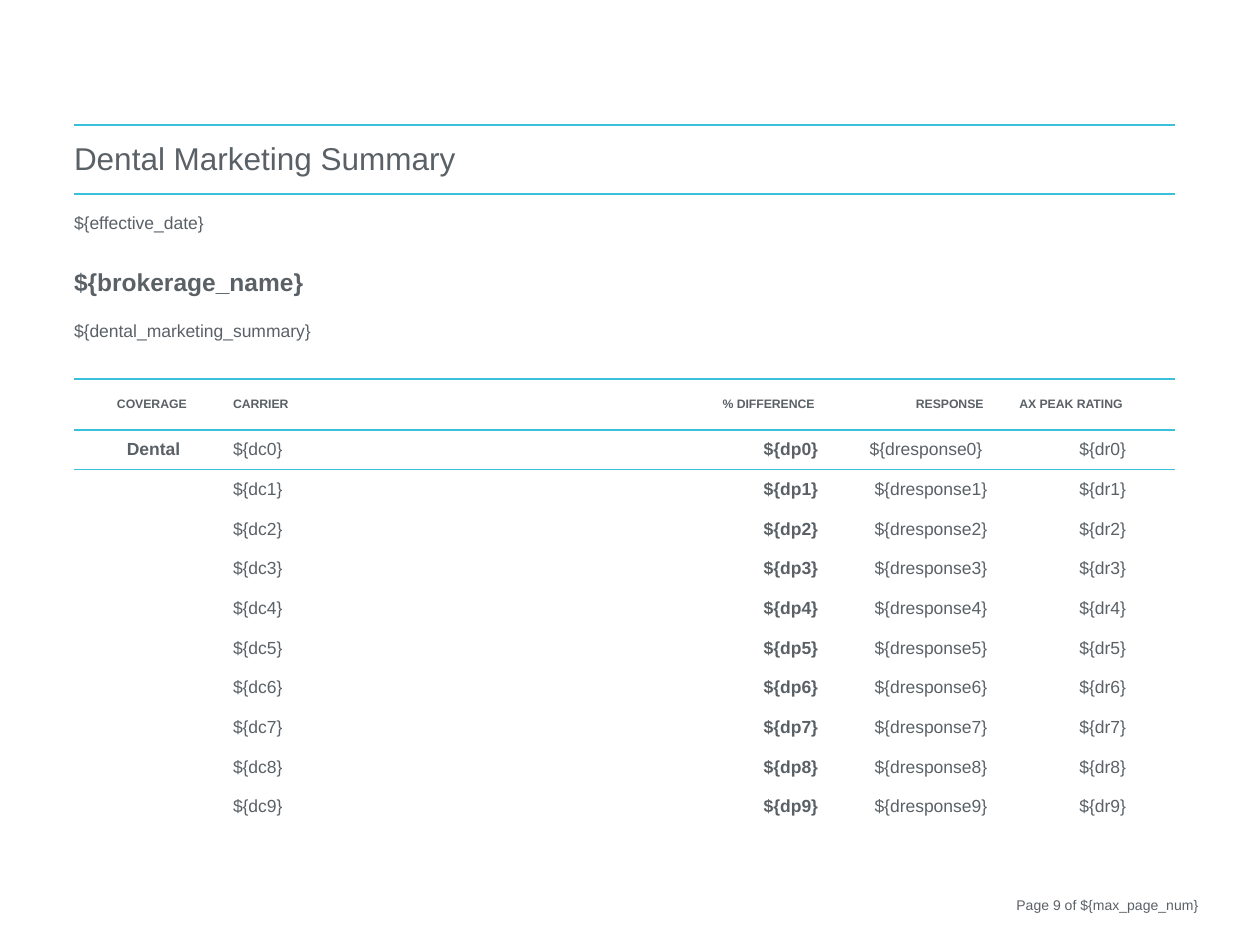
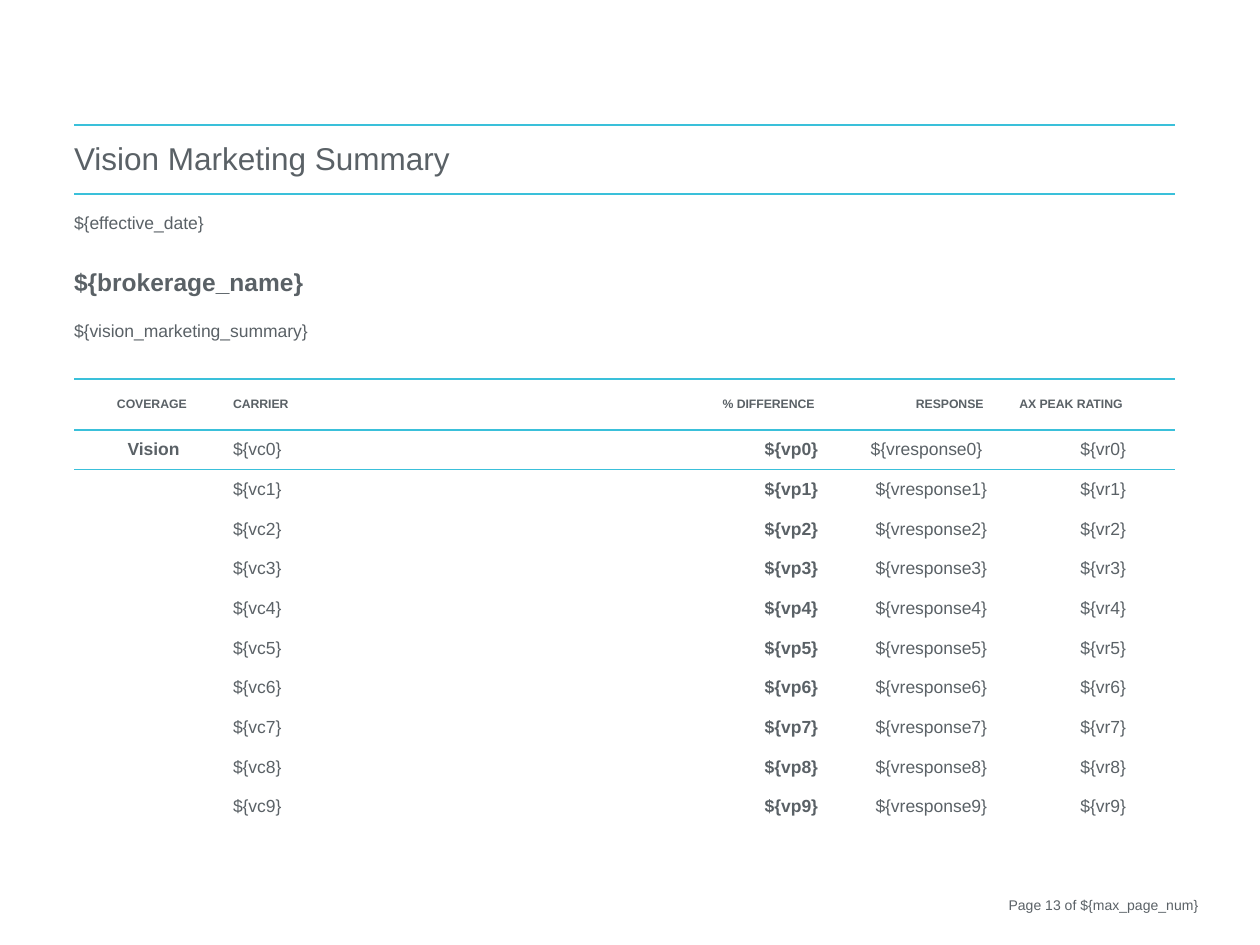
import pptx
import pptx.dml.color
import pptx.enum.text
import pptx.oxml
import pptx.oxml.ns
import pptx.util

# Content
PLANS = [("Dental", 9), ("Vision", 13)]
HEADS = ["COVERAGE ", "CARRIER", "% DIFFERENCE ", "RESPONSE ", "AX PEAK RATING "]
FIELDS = ["c", "p", "response", "r"]
COUNT = 10

# Style
GREY = pptx.dml.color.RGBColor(0x5A, 0x61, 0x66)
TEAL = pptx.dml.color.RGBColor(0x3A, 0xC0, 0xDA)
FONT = "Arial"
PLAIN = "{2D5ABB26-0587-4C30-8999-92F81FD0307C}"
LEFT = pptx.enum.text.PP_ALIGN.LEFT
MID = pptx.enum.text.PP_ALIGN.CENTER
RIGHT = pptx.enum.text.PP_ALIGN.RIGHT
ALIGNS = [MID, LEFT, RIGHT, RIGHT, RIGHT]

# Layout in px
WIDE, HIGH = 1260, 945
GRID_X, GRID_Y = 74, 125
COLS = [159, 278, 307, 169, 139, 49]
TITLE_H, INTRO_H, HEAD_H, BODY_H = 69, 185, 51, 397
ROWS = [TITLE_H, INTRO_H, HEAD_H] + [BODY_H / COUNT] * COUNT
INTRO_TOP = 20
FOOT = (927, 890, 284, 42)


def px(n):
    return pptx.util.Emu(round(n * 914400 / 126))


def style(para, size, bold=False, align=LEFT):
    para.alignment = align
    for run in para.runs:
        run.font.name = FONT
        run.font.size = pptx.util.Pt(size)
        run.font.bold = bold
        run.font.color.rgb = GREY


def write(cell, text, size, bold=False, align=LEFT):
    cell.text_frame.text = text
    style(cell.text_frame.paragraphs[0], size, bold, align)


def rule(cell, *sides):
    """Draw teal borders; sides are given in the order lnT, lnB."""
    props = cell._tc.get_or_add_tcPr()
    for side in reversed(sides):
        props.insert(0, pptx.oxml.parse_xml(
            f'<a:{side} {pptx.oxml.ns.nsdecls("a")} w="12700">'
            f'<a:solidFill><a:srgbClr val="{TEAL}"/></a:solidFill></a:{side}>'))


def add_grid(slide):
    frame = slide.shapes.add_table(len(ROWS), len(COLS), px(GRID_X), px(GRID_Y),
                                   px(sum(COLS)), px(sum(ROWS)))
    grid = frame.table
    grid.first_row = grid.horz_banding = False
    grid._tbl.tblPr.find(pptx.oxml.ns.qn("a:tableStyleId")).text = PLAIN
    for col, width in zip(grid.columns, COLS):
        col.width = px(width)
    for i, height in enumerate(ROWS):
        grid.rows[i].height = px(height)
        for cell in grid.rows[i].cells:
            cell.margin_left = cell.margin_right = 0
            cell.margin_top = cell.margin_bottom = 0
            cell.vertical_anchor = pptx.enum.text.MSO_ANCHOR.MIDDLE
            cell.fill.background()
            if i < 3:
                rule(cell, "lnT", "lnB")
            elif i == 3:
                rule(cell, "lnT")
    return grid


def add_intro(cell, key):
    # Text, size, bold, space before in px
    lines = [("${effective_date}", 10, False, 0),
             ("${brokerage_name}", 14, True, 36),
             (f"${{{key}_marketing_summary}}", 10, False, 25)]
    cell.vertical_anchor = pptx.enum.text.MSO_ANCHOR.TOP
    cell.margin_top = px(INTRO_TOP)
    cell.text_frame.text = "\n".join(line[0] for line in lines)
    for para, (_, size, bold, gap) in zip(cell.text_frame.paragraphs, lines):
        style(para, size, bold)
        para.space_before = px(gap)


def add_foot(slide, page):
    box = slide.shapes.add_textbox(*map(px, FOOT))
    box.text_frame.word_wrap = True
    box.text_frame.text = f"Page {page} of ${{max_page_num}}"
    style(box.text_frame.paragraphs[0], 8, align=RIGHT)


def add_plan(deck, plan, page):
    slide = deck.slides.add_slide(deck.slide_layouts[6])
    grid = add_grid(slide)

    # Title and intro rows
    grid.cell(0, 0).merge(grid.cell(0, 4))
    write(grid.cell(0, 0), f"{plan} Marketing Summary", 18)
    grid.cell(1, 0).merge(grid.cell(1, 5))
    add_intro(grid.cell(1, 0), plan.lower())

    # Column heads
    for col, (head, align) in enumerate(zip(HEADS, ALIGNS)):
        write(grid.cell(2, col), head, 7, True, align)

    # Carrier rows
    write(grid.cell(3, 0), plan, 10, True, MID)
    for i in range(COUNT):
        for col, field in enumerate(FIELDS, 1):
            text = f"${{{plan[0].lower()}{field}{i}}}"
            if field == "response" and i == 0:
                text += " "
            write(grid.cell(3 + i, col), text, 10, field == "p", ALIGNS[col])

    add_foot(slide, page)


def main():
    deck = pptx.Presentation()
    deck.slide_width, deck.slide_height = px(WIDE), px(HIGH)
    for plan, page in PLANS:
        add_plan(deck, plan, page)
    deck.save("out.pptx")


if __name__ == "__main__":
    main()
